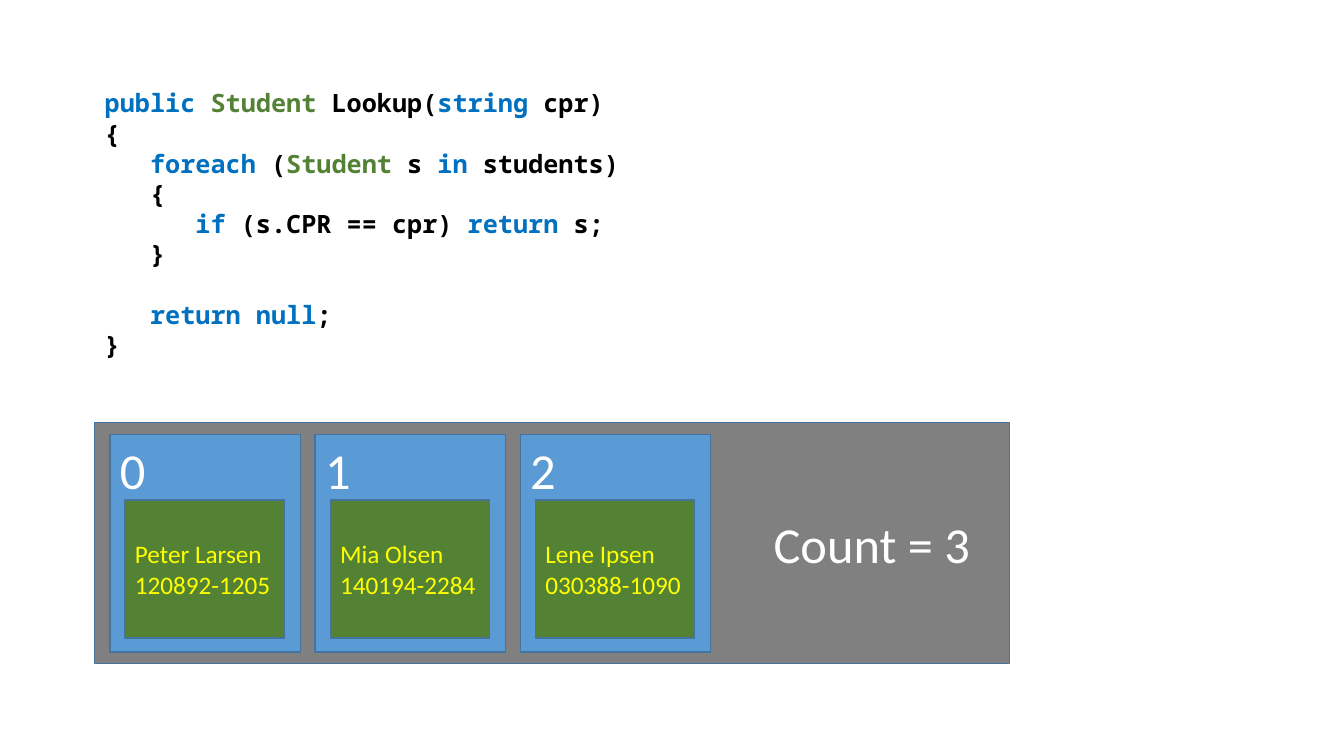
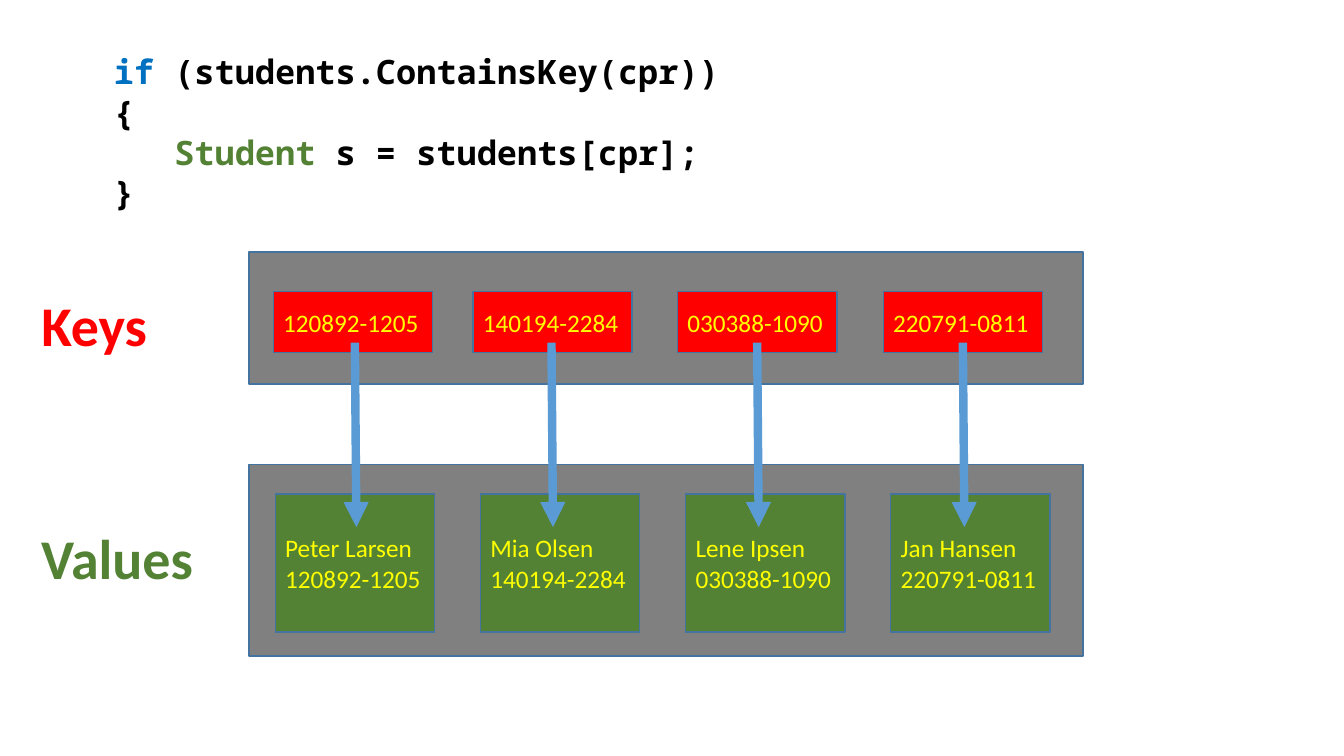
import pptx
import pptx.dml.color
import pptx.enum.shapes
import pptx.enum.text
import pptx.oxml
import pptx.oxml.ns
import pptx.util
from dataclasses import dataclass
from typing import NamedTuple

ALIGN = pptx.enum.text.PP_ALIGN
ANCHOR = pptx.enum.text.MSO_ANCHOR
FIT = pptx.enum.text.MSO_AUTO_SIZE
RECT = pptx.enum.shapes.MSO_SHAPE.RECTANGLE
LINE = pptx.enum.shapes.MSO_CONNECTOR.STRAIGHT

WIDE = pptx.util.Inches(13.33)
HIGH = pptx.util.Inches(7.5)
ROWS = 75
CELL = HIGH / ROWS


@dataclass(frozen=True)
class Theme:
    panel: str = "808080"
    slot: str = "5B9BD5"
    green: str = "548235"
    red: str = "FF0000"
    edge: str = "43739E"
    word: str = "0070C0"
    plain: str = "000000"
    light: str = "FFFFFF"
    yellow: str = "FFFF00"
    sans: str = "Calibri"
    mono: str = "Noto Sans Mono"
    small: int = 18
    code: int = 24
    large: int = 36
    head: int = 40
    hair: float = 1
    thick: float = 6


THEME = Theme()


class Box(NamedTuple):
    col: float
    row: float
    cols: float
    rows: float


class Student(NamedTuple):
    name: str
    cpr: str


class Style(NamedTuple):
    size: int
    color: str
    bold: bool = False
    align: ALIGN = ALIGN.LEFT
    anchor: ANCHOR = ANCHOR.MIDDLE


STUDENTS = (
    Student("Peter Larsen", "120892-1205"),
    Student("Mia Olsen", "140194-2284"),
    Student("Lene Ipsen", "030388-1090"),
    Student("Jan Hansen", "220791-0811"),
)
PITCH = 20.35
CARD = (15.8, 13.7)
CARD_TEXT = Style(THEME.small, THEME.yellow)
SLOT_TEXT = Style(THEME.large, THEME.light, anchor=ANCHOR.TOP)
COUNT_TEXT = Style(THEME.large, THEME.light, align=ALIGN.RIGHT)
KEY_COLS = (27.1, 46.9, 67.2, 87.6)
ARROW_COLS = (35.2, 54.7, 75.1, 95.5)

WORDS = {"public", "string", "foreach", "in", "if", "return", "return null"}
LOOKUP = """public |Student| Lookup(|string| cpr)
{
   |foreach| (|Student| s |in| students)
   {
      |if| (s.CPR == cpr) |return |s;
   }

   |return null|;
}"""
FETCH = """if |(students.ContainsKey(cpr))
{
   Student |s = students[cpr];
}"""


def span(cells: float) -> int:
    return round(cells * CELL)


def tint(code: str) -> pptx.dml.color.RGBColor:
    return pptx.dml.color.RGBColor.from_string(code)


def paint(run, size: int, color: str, face: str, bold: bool) -> None:
    run.font.size = pptx.util.Pt(size)
    run.font.name = face
    run.font.bold = bold
    run.font.color.rgb = tint(color)


def write(shape, text: str, style: Style) -> None:
    frame = shape.text_frame
    frame.word_wrap = True
    frame.vertical_anchor = style.anchor
    frame.text = text
    for para in frame.paragraphs:
        para.alignment = style.align
        for run in para.runs:
            paint(run, style.size, style.color, THEME.sans, style.bold)


def block(slide, box: Box, fill: str):
    shape = slide.shapes.add_shape(RECT, *map(span, box))
    shape.shadow.inherit = False
    shape.fill.solid()
    shape.fill.fore_color.rgb = tint(fill)
    shape.line.color.rgb = tint(THEME.edge)
    shape.line.width = pptx.util.Pt(THEME.hair)
    return shape


def card(slide, col: float, row: float, who: Student) -> None:
    shape = block(slide, Box(col, row, *CARD), THEME.green)
    write(shape, f"{who.name}\n{who.cpr}", CARD_TEXT)


def hue(part: str) -> str:
    word = part.strip()
    if word == "Student":
        return THEME.green
    return THEME.word if word in WORDS else THEME.plain


def listing(slide, box: Box, code: str, size: int) -> None:
    frame = slide.shapes.add_textbox(*map(span, box)).text_frame
    frame.word_wrap = True
    frame.auto_size = FIT.SHAPE_TO_FIT_TEXT
    for spot, line in enumerate(code.split("\n")):
        para = frame.add_paragraph() if spot else frame.paragraphs[0]
        for part in filter(None, line.split("|")):
            run = para.add_run()
            run.text = part
            paint(run, size, hue(part), THEME.mono, True)


def label(shape, box: Box, text: str, color: str) -> None:
    shape.left, shape.top, shape.width, shape.height = map(span, box)
    write(shape, text, Style(THEME.head, color, bold=True))
    shape.text_frame.auto_size = FIT.NONE
    shape.text_frame.paragraphs[0].line_spacing = 0.9


def arrow(slide, col: float, top: float, end: float) -> None:
    ends = map(span, (col, top, col + 0.15, end))
    link = slide.shapes.add_connector(LINE, *ends)
    link.line.color.rgb = tint(THEME.slot)
    link.line.width = pptx.util.Pt(THEME.thick)
    tip = pptx.oxml.ns.qn("a:tailEnd")
    link.line._get_or_add_ln().makeelement(tip)
    pptx.oxml.xmlchemy.OxmlElement("a:tailEnd")
    tail = pptx.oxml.xmlchemy.OxmlElement("a:tailEnd")
    tail.set("type", "triangle")
    link._element.spPr.find(pptx.oxml.ns.qn("a:ln")).append(tail)
    link._element.spPr.append(pptx.oxml.xmlchemy.OxmlElement("a:effectLst"))


def list_slide(deck) -> None:
    slide = deck.slides.add_slide(deck.slide_layouts[6])
    panel = block(slide, Box(9.4, 41.9, 90.7, 23.9), THEME.panel)
    write(panel, "Count = 3", COUNT_TEXT)
    panel.text_frame.margin_right = span(3.9)
    listing(slide, Box(9.4, 8.2, 100.7, 28.3), LOOKUP, THEME.small)
    for spot, who in enumerate(STUDENTS[:3]):
        col = 10.9 + spot * PITCH
        slot = block(slide, Box(col, 43.1, 18.9, 21.6), THEME.slot)
        write(slot, str(spot), SLOT_TEXT)
        card(slide, col + 1.5, 49.6, who)


def map_slide(deck) -> None:
    slide = deck.slides.add_slide(deck.slide_layouts[5])
    label(slide.shapes.title, Box(3.1, 27, 18.6, 11.1), "Keys", THEME.red)
    block(slide, Box(24.7, 46.1, 82.7, 19), THEME.panel)
    for spot, who in enumerate(STUDENTS):
        card(slide, 27.3 + spot * PITCH, 49, who)
    block(slide, Box(24.7, 25, 82.7, 13.1), THEME.panel)
    for col, who in zip(KEY_COLS, STUDENTS):
        key = block(slide, Box(col, 28.9, CARD[0], 6.1), THEME.red)
        write(key, who.cpr, CARD_TEXT)
    for col in ARROW_COLS:
        arrow(slide, col, 34, 52.3)
    note = slide.shapes.add_textbox(0, 0, 0, 0)
    label(note, Box(3.1, 50.1, 20.9, 11.1), "Values", THEME.green)
    listing(slide, Box(10.3, 4.6, 62.5, 17.2), FETCH, THEME.code)


def main() -> None:
    deck = pptx.Presentation()
    deck.slide_width, deck.slide_height = WIDE, HIGH
    list_slide(deck)
    map_slide(deck)
    deck.save("out.pptx")


if __name__ == "__main__":
    main()
